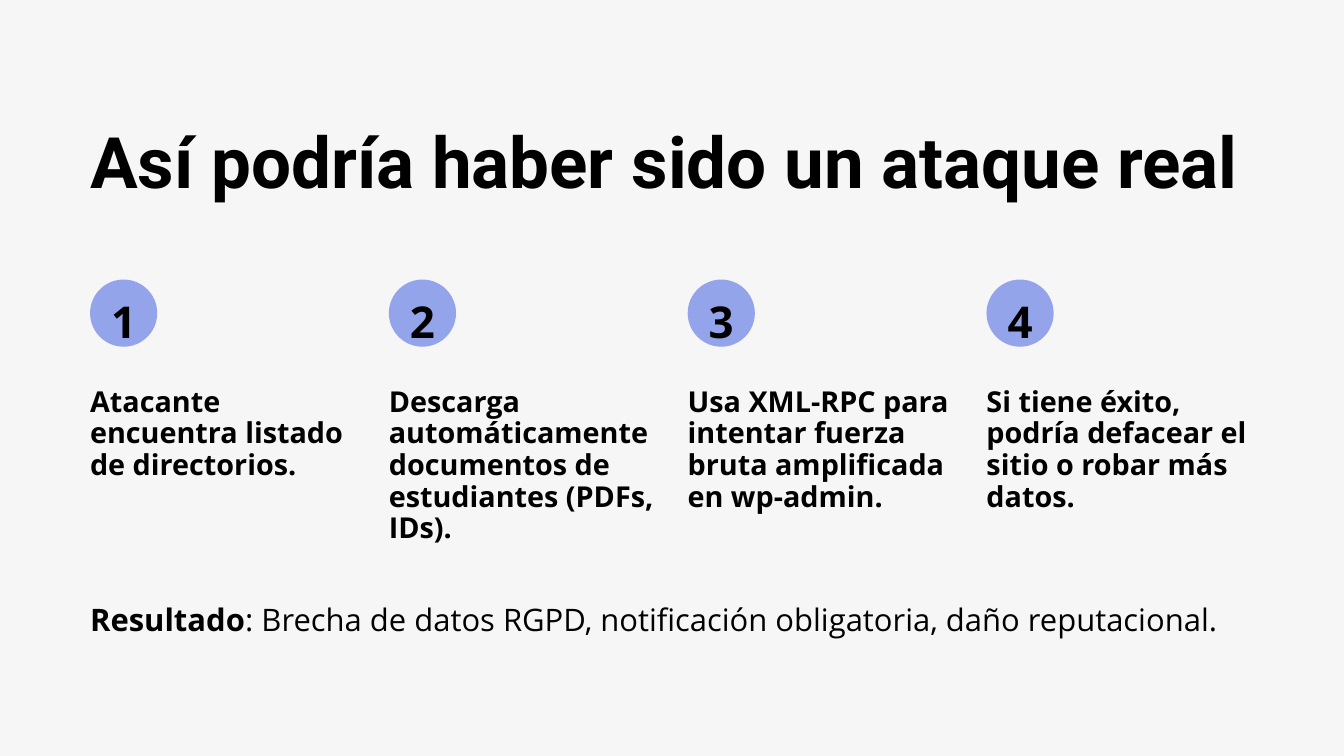
from pptx import Presentation
from pptx.dml.color import RGBColor
from pptx.enum.shapes import MSO_SHAPE as Shape
from pptx.enum.text import MSO_AUTO_SIZE as AutoSize, PP_ALIGN as Align
from pptx.util import Inches, Pt

# Content
TITLE = "Así podría haber sido un ataque real"
STEPS = [
    "Atacante encuentra listado de directorios.",
    "Descarga automáticamente documentos de estudiantes (PDFs, IDs).",
    "Usa XML-RPC para intentar fuerza bruta amplificada en wp-admin.",
    "Si tiene éxito, podría defacear el sitio o robar más datos.",
]
RESULT = [("Resultado", True),
          (": Brecha de datos RGPD, notificación obligatoria, daño reputacional.", False)]

# Theme: colours, then font, size and line spacing (points) of each text style
THEME = {
    "background": RGBColor(0xF6, 0xF6, 0xF6),
    "badge": RGBColor(0x94, 0xA4, 0xEB),
    "ink": RGBColor(0, 0, 0),
    "title": ("Roboto", 76, 77.5),
    "number": ("Open Sans", 47, 73.7),
    "step": ("Open Sans", 30.8, 33.9),
    "result": ("Open Sans", 33.2, 46.5),
}
FRAME = {"margin_left": 0, "margin_right": 0, "margin_top": 0, "margin_bottom": 0,
         "word_wrap": True, "auto_size": AutoSize.SHAPE_TO_FIT_TEXT}

# Layout in inches
LEFT, WIDTH = 1.34, 17.32
COLUMN = 3.98
PITCH = (WIDTH - COLUMN) / (len(STEPS) - 1)
BADGE = 1


def add_text(shapes, box, runs, style, align=Align.LEFT):
    """Add a text box whose runs are (text, bold) pairs."""
    textbox = shapes.add_textbox(*map(Inches, box))
    frame = textbox.text_frame
    for name, value in FRAME.items():
        setattr(frame, name, value)
    font_name, size, spacing = THEME[style]
    paragraph = frame.paragraphs[0]
    paragraph.alignment = align
    paragraph.line_spacing = Pt(spacing)
    for text, bold in runs:
        run = paragraph.add_run()
        run.text = text
        font_format = {"name": font_name, "size": Pt(size), "bold": bold}
        for name, value in font_format.items():
            setattr(run.font, name, value)
        run.font.color.rgb = THEME["ink"]


def add_badge(slide, left, number):
    """Add a numbered circle as one group."""
    badge = slide.shapes.add_group_shape().shapes
    circle = badge.add_shape(Shape.OVAL, *map(Inches, (left, 4.16, BADGE, BADGE)))
    circle.shadow.inherit = False
    circle.fill.solid()
    circle.fill.fore_color.rgb = THEME["badge"]
    circle.line.fill.background()
    add_text(badge, (left, 4.14, BADGE, 0.91), [(str(number), True)], "number", Align.CENTER)


def main():
    deck = Presentation()
    deck.slide_width, deck.slide_height = Inches(20), Inches(11.25)
    slide = deck.slides.add_slide(deck.slide_layouts[6])
    slide.background.fill.solid()
    slide.background.fill.fore_color.rgb = THEME["background"]

    # Title
    add_text(slide.shapes, (LEFT, 1.94, WIDTH, 1.13), [(TITLE, True)], "title")

    # Numbered steps in equal columns
    for index, step in enumerate(STEPS):
        left = LEFT + index * PITCH
        add_badge(slide, left, index + 1)
        add_text(slide.shapes, (left, 5.75, COLUMN, 1.88), [(step, True)], "step")

    # Result line
    add_text(slide.shapes, (LEFT, 8.84, WIDTH, 0.61), RESULT, "result")

    deck.save("out.pptx")


if __name__ == "__main__":
    main()
